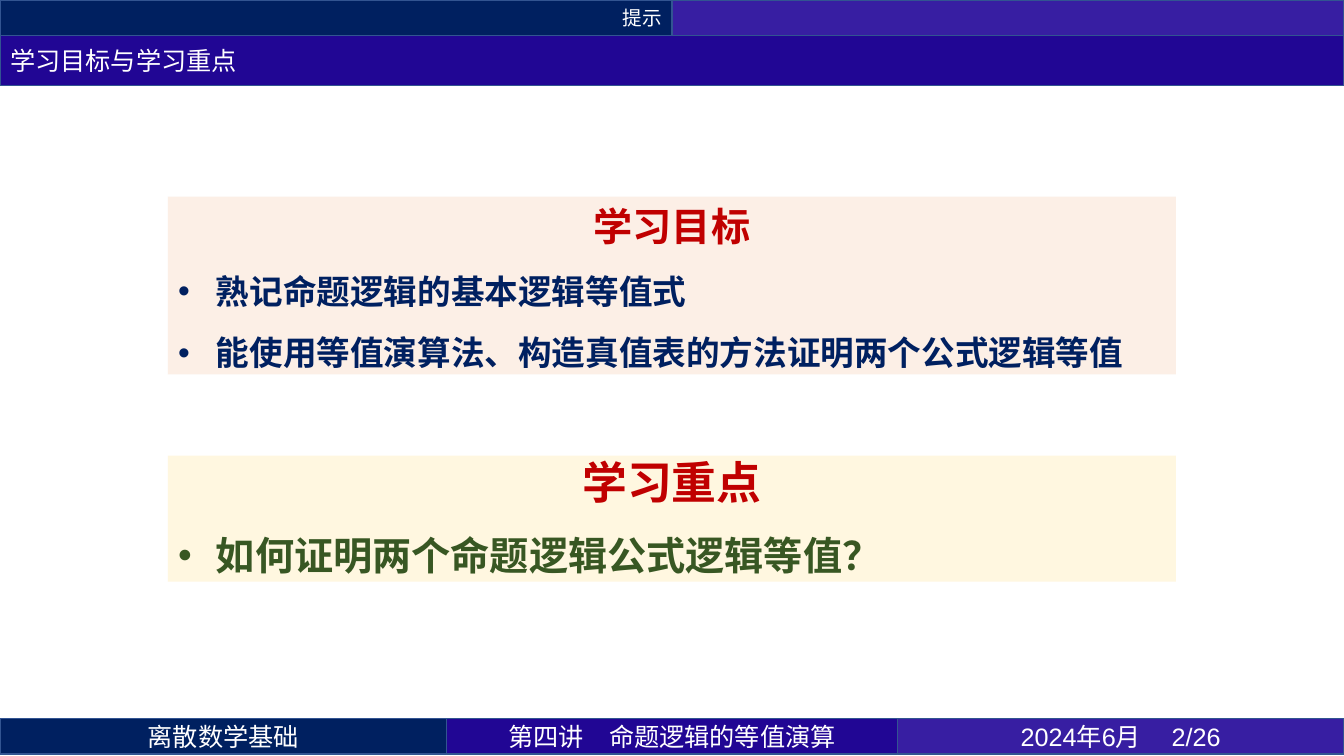
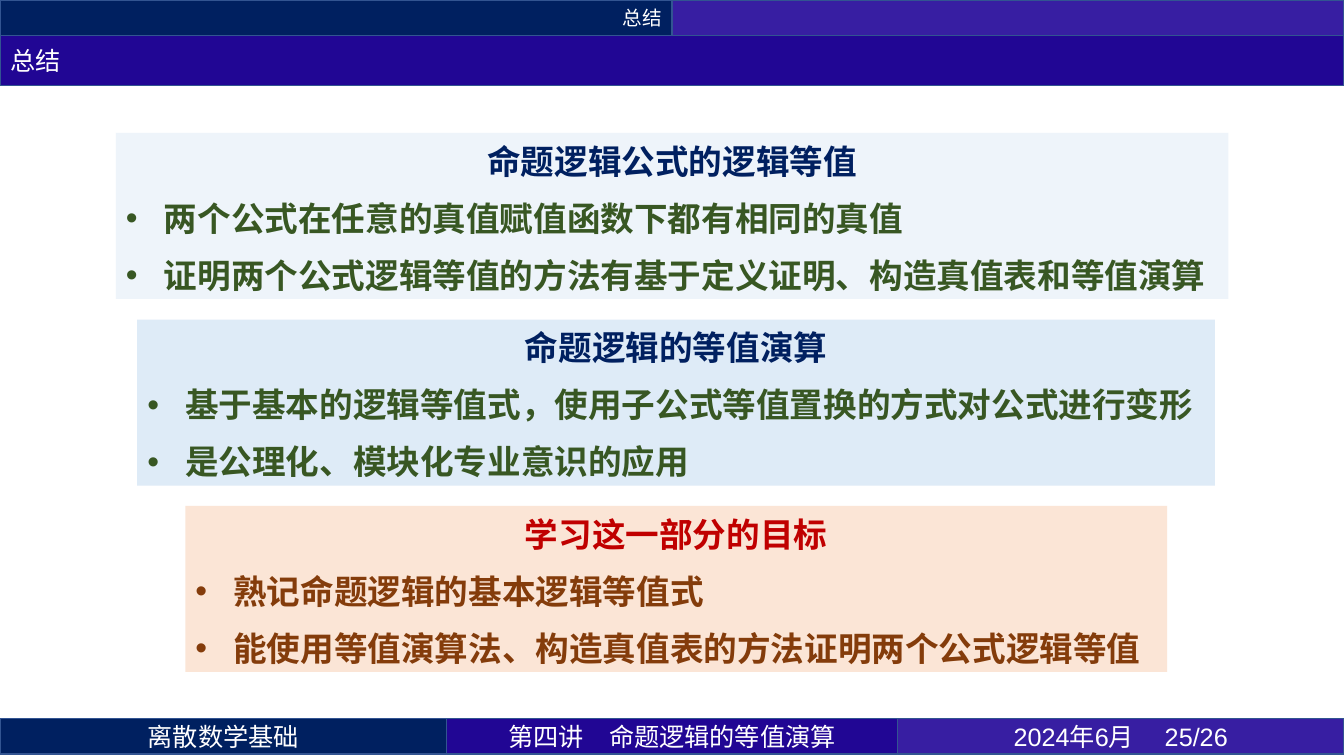
from dataclasses import dataclass

from lxml.etree import SubElement
from pptx import Presentation
from pptx.dml.color import RGBColor
from pptx.enum.shapes import MSO_SHAPE
from pptx.enum.text import MSO_ANCHOR, MSO_AUTO_SIZE, PP_ALIGN
from pptx.oxml.ns import qn
from pptx.util import Pt

NAVY = RGBColor(0x00, 0x20, 0x60)
INDIGO = RGBColor(0x21, 0x06, 0x94)
VIOLET = RGBColor(0x37, 0x1E, 0xA2)
EDGE = RGBColor(0x32, 0x54, 0x91)
WHITE = RGBColor(0xFF, 0xFF, 0xFF)
RED = RGBColor(0xC0, 0x00, 0x00)
GREEN = RGBColor(0x38, 0x57, 0x23)
BROWN = RGBColor(0x84, 0x3C, 0x0B)
PEACH = RGBColor(0xFB, 0xE5, 0xD6)
CREAM = RGBColor(0xFF, 0xF2, 0xCC)
SKY = RGBColor(0xDE, 0xEB, 0xF7)

LATIN = "Arial"
HAN = "Noto Sans CJK SC"
WIDTH, HEIGHT = 960, 540
BAND = 25.2
TITLE = 36
FOOT = 513.4
SIDE = 319
INDENT = 27
COMPARISON = 4
TOTAL = 26


@dataclass(frozen=True)
class Box:
    left: float
    top: float
    width: float
    height: float


@dataclass(frozen=True)
class Panel:
    box: Box
    fill: RGBColor
    head: str
    head_color: RGBColor
    items: tuple[str, ...]
    color: RGBColor
    opacity: int = 100
    head_size: int = 24
    size: int = 24
    line: float = 28.7
    before: int = 6


@dataclass(frozen=True)
class Page:
    number: int
    section: str
    title: str
    panels: tuple[Panel, ...]


GOALS = ("熟记命题逻辑的基本逻辑等值式",
         "能使用等值演算法、构造真值表的方法证明两个公式逻辑等值")

PAGES = (
    Page(2, "提示", "学习目标与学习重点", (
        Panel(Box(120, 140.5, 720, 127), PEACH, "学习目标", RED, GOALS, NAVY,
              opacity=60, head_size=28, line=32),
        Panel(Box(120, 325.5, 720, 90), CREAM, "学习重点", RED,
              ("如何证明两个命题逻辑公式逻辑等值？",), GREEN,
              opacity=60, head_size=32, size=28, line=32, before=12),
    )),
    Page(25, "总结", "总结", (
        Panel(Box(82.8, 95, 794.6, 118.6), SKY, "命题逻辑公式的逻辑等值", NAVY,
              ("两个公式在任意的真值赋值函数下都有相同的真值",
               "证明两个公式逻辑等值的方法有基于定义证明、构造真值表和等值演算"),
              GREEN, opacity=50),
        Panel(Box(98, 228.3, 769.8, 118.6), SKY, "命题逻辑的等值演算", NAVY,
              ("基于基本的逻辑等值式，使用子公式等值置换的方式对公式进行变形",
               "是公理化、模块化专业意识的应用"), GREEN),
        Panel(Box(132.4, 361.4, 701.2, 118.6), PEACH, "学习这一部分的目标", RED,
              GOALS, BROWN),
    )),
)


def place(shape, box: Box) -> None:
    shape.left, shape.top = Pt(box.left), Pt(box.top)
    shape.width, shape.height = Pt(box.width), Pt(box.height)


def paint(shape, color: RGBColor, opacity: int = 100) -> None:
    shape.fill.solid()
    shape.fill.fore_color.rgb = color
    if opacity < 100:
        tint = shape._element.spPr.find(f".//{qn('a:srgbClr')}")
        SubElement(tint, qn("a:alpha"), val=str(opacity * 1000))


def style(para, size: float, color: RGBColor, bold: bool = False) -> None:
    """Set Latin and Chinese fonts for the whole paragraph."""
    font = para.font
    font.name, font.size, font.bold = LATIN, Pt(size), bold
    font.color.rgb = color
    props = para._p.pPr.find(qn("a:defRPr"))
    SubElement(props, qn("a:ea"), typeface=HAN)


def bullet(para, shown: bool) -> None:
    props = para._p.get_or_add_pPr()
    indent = int(Pt(INDENT)) if shown else 0
    props.set("marL", str(indent))
    props.set("indent", str(-indent))
    if shown:
        SubElement(props, qn("a:buFont"), typeface=LATIN)
        SubElement(props, qn("a:buChar"), char="•")
    else:
        SubElement(props, qn("a:buNone"))


def label(shape, box: Box, color: RGBColor, text: str, size: float,
          align: PP_ALIGN) -> None:
    """Make a shape into an outlined band with one line of text."""
    place(shape, box)
    paint(shape, color)
    shape.line.color.rgb = EDGE
    shape.line.width = Pt(1)
    if not text:
        return
    frame = shape.text_frame
    frame.auto_size = MSO_AUTO_SIZE.NONE
    frame.vertical_anchor = MSO_ANCHOR.MIDDLE
    para = frame.paragraphs[0]
    para.text = text
    para.alignment = align
    style(para, size, WHITE)


def bands(slide, page: Page) -> None:
    """Draw the title, the top bands and the footer."""
    half, mid = WIDTH / 2, WIDTH - 2 * SIDE
    rows = (
        (Box(0, 0, half, BAND), NAVY, page.section, 14, PP_ALIGN.RIGHT),
        (Box(half, 0, half, BAND), VIOLET, "", 14, PP_ALIGN.LEFT),
        (Box(0, FOOT, SIDE, BAND), NAVY, "离散数学基础", 18, PP_ALIGN.CENTER),
        (Box(SIDE, FOOT, mid, BAND), INDIGO, "第四讲\t命题逻辑的等值演算", 18,
         PP_ALIGN.CENTER),
        (Box(SIDE + mid, FOOT, SIDE, BAND), VIOLET,
         f"2024年6月 \t{page.number}/{TOTAL}", 18, PP_ALIGN.CENTER),
    )
    for row in rows:
        shape = slide.shapes.add_shape(MSO_SHAPE.RECTANGLE, 0, 0, 0, 0)
        shape.shadow.inherit = False
        label(shape, *row)
    label(slide.shapes.title, Box(0, BAND, WIDTH, TITLE), INDIGO, page.title,
          18, PP_ALIGN.LEFT)


def fill_in(shape, panel: Panel) -> None:
    """Turn a body placeholder into a tinted panel."""
    place(shape, panel.box)
    paint(shape, panel.fill, panel.opacity)
    frame = shape.text_frame
    frame.auto_size = MSO_AUTO_SIZE.NONE
    frame.word_wrap = True
    frame.vertical_anchor = MSO_ANCHOR.TOP
    frame.margin_top, frame.margin_bottom = Pt(5.6), Pt(0)
    frame.text = "\n".join((panel.head, *panel.items))
    for i, para in enumerate(frame.paragraphs):
        head = i == 0
        bullet(para, not head)
        para.alignment = PP_ALIGN.CENTER if head else PP_ALIGN.LEFT
        para.line_spacing = Pt(panel.line)
        para.space_before = Pt(0 if head else panel.before)
        para.space_after = Pt(6)
        style(para, panel.head_size if head else panel.size,
              panel.head_color if head else panel.color, bold=True)


def build(deck, page: Page) -> None:
    slide = deck.slides.add_slide(deck.slide_layouts[COMPARISON])
    bands(slide, page)
    bodies = list(slide.placeholders)[1:]
    for shape, panel in zip(bodies, page.panels):
        fill_in(shape, panel)
    for spare in bodies[len(page.panels):]:
        spare._element.getparent().remove(spare._element)


def main() -> None:
    deck = Presentation()
    deck.slide_width, deck.slide_height = Pt(WIDTH), Pt(HEIGHT)
    for page in PAGES:
        build(deck, page)
    deck.save("out.pptx")


if __name__ == "__main__":
    main()
